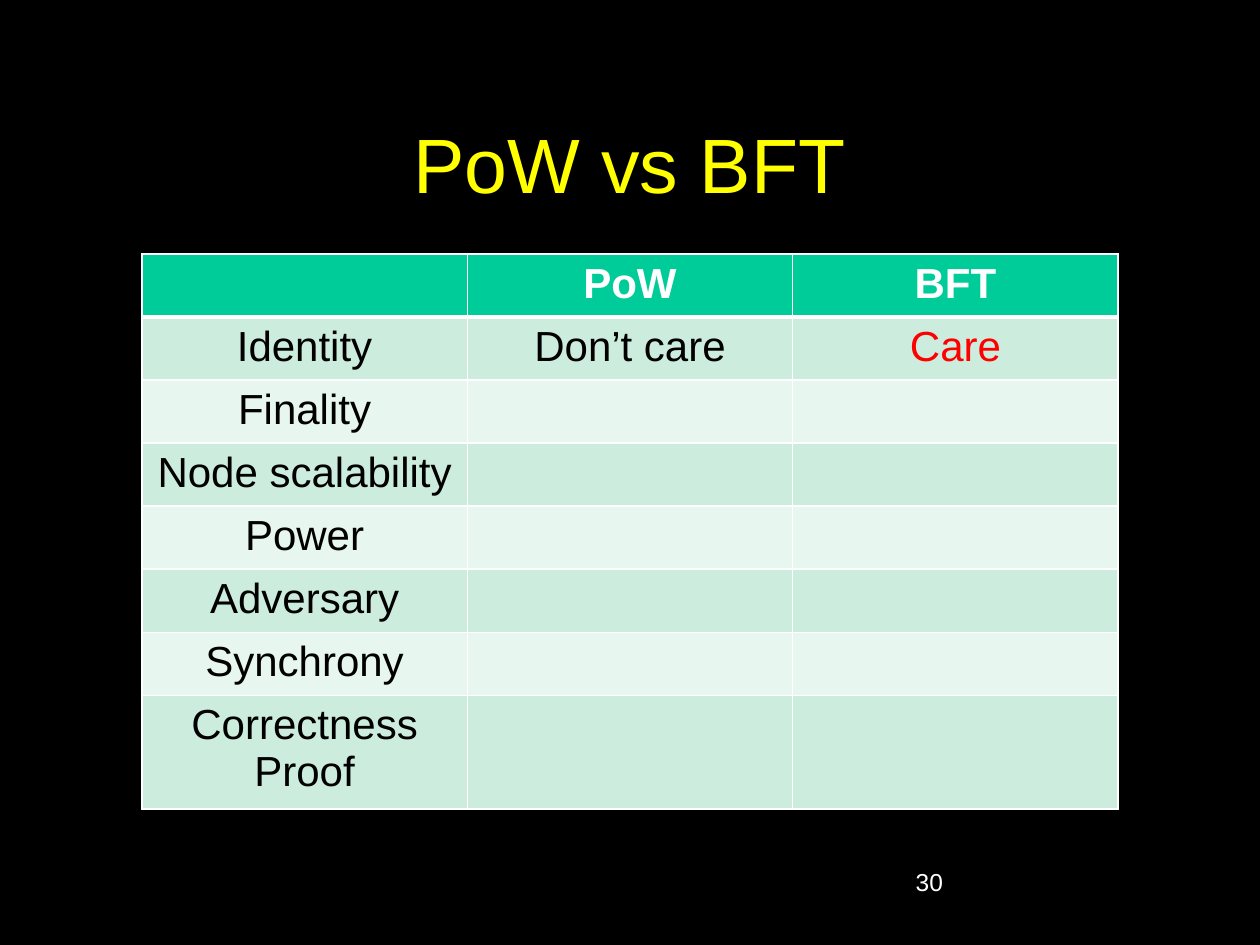
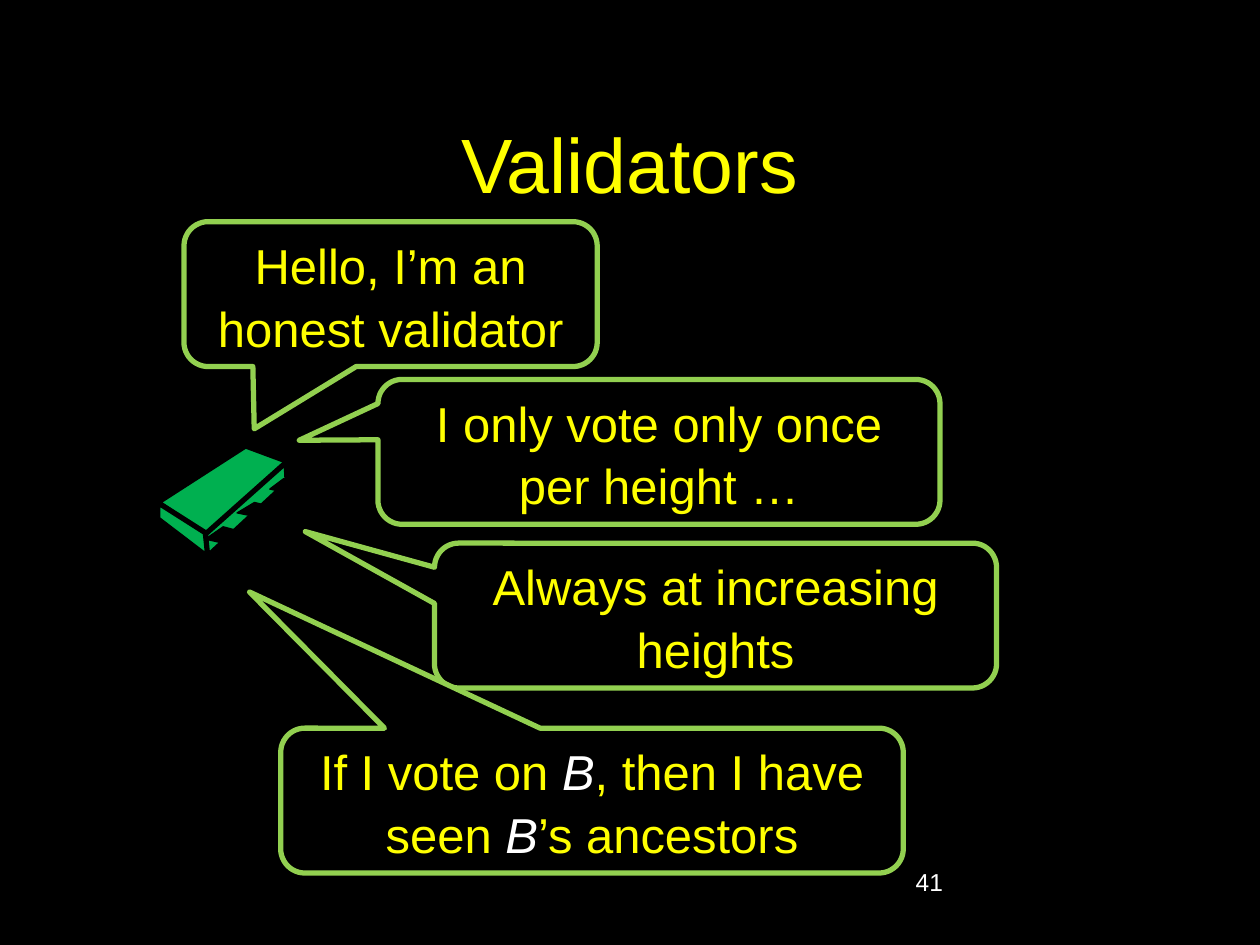
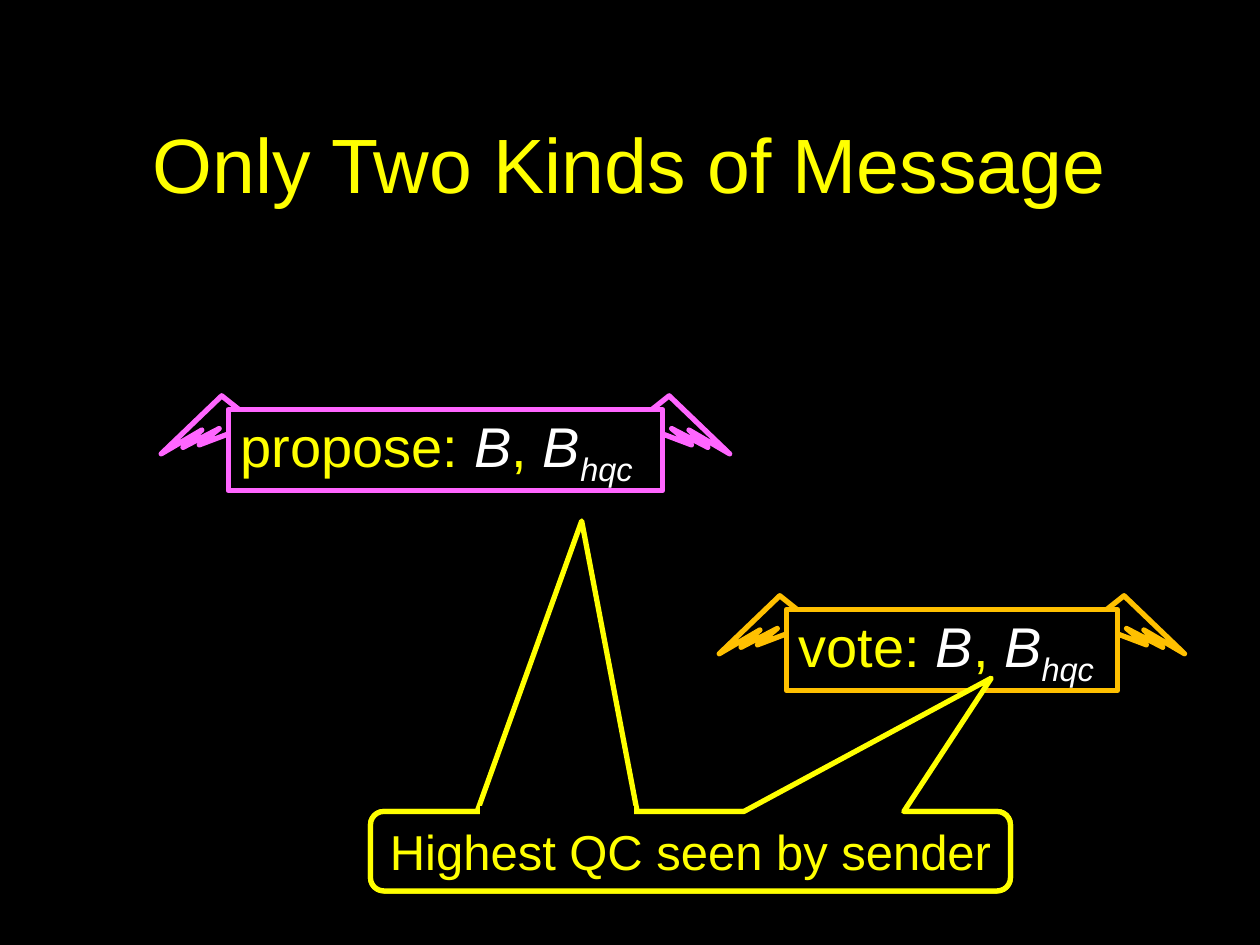
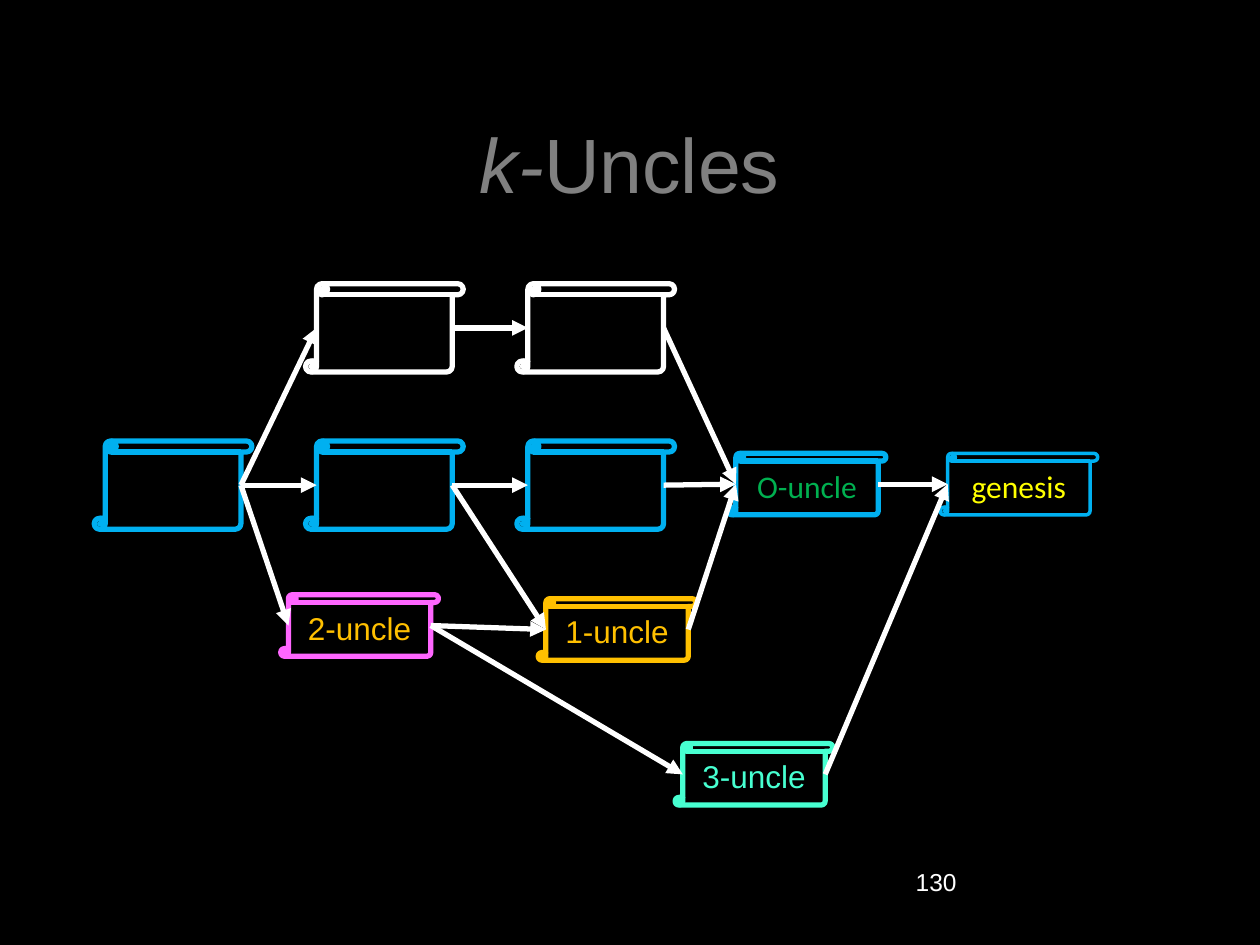
from lxml import etree
from pptx import Presentation
from pptx.dml.color import RGBColor
from pptx.enum.shapes import MSO_CONNECTOR, MSO_SHAPE
from pptx.enum.text import MSO_ANCHOR, PP_ALIGN
from pptx.oxml.ns import qn
from pptx.util import Cm, Pt

# Colours
BLACK = RGBColor(0x00, 0x00, 0x00)
WHITE = RGBColor(0xFF, 0xFF, 0xFF)
YELLOW = RGBColor(0xFF, 0xFF, 0x00)
RED = RGBColor(0xFF, 0x00, 0x00)
GREY = RGBColor(0x80, 0x80, 0x80)
GREEN = RGBColor(0x00, 0xB0, 0x50)
LIME = RGBColor(0x92, 0xD0, 0x50)
PINK = RGBColor(0xFF, 0x66, 0xFF)
ORANGE = RGBColor(0xFF, 0xC0, 0x00)
BLUE = RGBColor(0x00, 0xB0, 0xF0)
AQUA = RGBColor(0x47, 0xFF, 0xD1)
HEADER = RGBColor(0x00, 0xCC, 0x99)
BANDS = (RGBColor(0xCC, 0xEC, 0xDE), RGBColor(0xE7, 0xF6, 0xEF))

LEFT, CENTER = PP_ALIGN.LEFT, PP_ALIGN.CENTER
TOP, MIDDLE = MSO_ANCHOR.TOP, MSO_ANCHOR.MIDDLE
RECT = MSO_SHAPE.RECTANGLE
SCROLL = MSO_SHAPE.VERTICAL_SCROLL
CALLOUT = MSO_SHAPE.ROUNDED_RECTANGULAR_CALLOUT
STRAIGHT = MSO_CONNECTOR.STRAIGHT
LEFT_SIDE, RIGHT_SIDE = 1, 3

# Runs that recur in the messages
BLOCK = ("B", dict(color=WHITE, italic=True))
HIGHEST_QC = ("hqc", dict(color=WHITE, italic=True, baseline=-25000))

# Wing outline: distance outward and down from a message's top corner, in cm
WING = [(-0.41, 0.15), (0.13, -0.28), (1.35, 0.89), (0.53, 0.41),
        (0.91, 0.76), (0.18, 0.38), (0.58, 0.71), (-0.56, 0.28)]

# Validator's desk, in cm
DESK_PANELS = [
    [(4.95, 8.99), (3.18, 10.13), (4.17, 10.8), (5.84, 9.32)],
    [(5.77, 9.32), (4.14, 10.77), (4.17, 11.23), (5.79, 9.73)],
    [(3.18, 10.13), (3.18, 10.46), (4.19, 11.23), (4.14, 10.74)],
]
DESK_LEGS = [
    [(4.5, 10.62), (4.14, 10.87), (4.72, 11), (4.72, 11.76),
     (4.95, 11.51), (4.95, 10.74)],
    [(5.13, 10.13), (4.78, 10.34), (5.36, 10.46), (5.36, 11.1),
     (5.59, 10.9), (5.59, 10.24)],
    [(5.72, 9.65), (5.44, 9.86), (5.89, 9.96), (5.89, 10.62),
     (6.07, 10.39), (6.07, 9.75)],
]


# Text
def write(tf, *runs, align=CENTER, anchor=MIDDLE, wrap=True, spacing=None, **fmt):
    """Write one paragraph; a run is a string or (string, format changes)."""
    tf.word_wrap = wrap
    tf.vertical_anchor = anchor
    p = tf.paragraphs[0]
    p.alignment = align
    if spacing:
        p.line_spacing = spacing
    for run in runs:
        text, changes = (run, {}) if isinstance(run, str) else run
        style = {**fmt, **changes}
        r = p.add_run()
        r.text = text
        font = r.font
        font.name = style.get("font", "Arial")
        font.size = Pt(style["size"])
        font.color.rgb = style["color"]
        font.bold = style.get("bold", False)
        font.italic = style.get("italic", False)
        if "baseline" in style:
            r._r.get_or_add_rPr().set("baseline", str(style["baseline"]))


def text_box(slide, box, *runs, **fmt):
    sp = slide.shapes.add_textbox(*map(Cm, box))
    write(sp.text_frame, *runs, **fmt)


def new_slide(prs, *title, number=None, color=YELLOW):
    slide = prs.slides.add_slide(prs.slide_layouts[6])
    text_box(slide, (1.9, 1.7, 21.59, 3.18), *title, size=44, color=color)
    if number:
        text_box(slide, (18.21, 17.35, 5.28, 1.27), number, size=14,
                 color=WHITE, align=LEFT, anchor=TOP)
    return slide


# Shapes
def paint(sp, fill, line, width=3):
    sp.shadow.inherit = False
    if fill is None:
        sp.fill.background()
    else:
        sp.fill.solid()
        sp.fill.fore_color.rgb = fill
    sp.line.color.rgb = line
    sp.line.width = Pt(width)


def shape(shapes, kind, box, line, width=3):
    sp = shapes.add_shape(kind, *map(Cm, box))
    paint(sp, BLACK, line, width)
    return sp


def outline(shapes, points, fill, line, width=3):
    points = [(Cm(x), Cm(y)) for x, y in points]
    builder = shapes.build_freeform(*points[0])
    builder.add_line_segments(points[1:], close=True)
    paint(builder.convert_to_shape(), fill, line, width)


def callout(shapes, box, tip, line, *runs, **fmt):
    """Speech bubble whose tip is given as shares of its size from its centre."""
    sp = shape(shapes, CALLOUT, box, line)
    sp.adjustments[0], sp.adjustments[1] = tip
    if runs:
        write(sp.text_frame, *runs, size=28, color=YELLOW, **fmt)


def message(slide, kind, box, color):
    """Message box with a wing at either top corner."""
    left, top, width, _ = box
    shapes = slide.shapes.add_group_shape().shapes
    for corner, outward in ((left + width, 1), (left, -1)):
        points = [(corner + outward * dx, top + dy) for dx, dy in WING]
        outline(shapes, points, None, color)
    sp = shape(shapes, RECT, box, color)
    write(sp.text_frame, kind + ": ", BLOCK, ", ", BLOCK, HIGHEST_QC,
          size=32, color=YELLOW, align=LEFT)


def scroll(slide, x, y, line, label=None, width=3, **fmt):
    height = 1.24 if label else 1.78
    sp = shape(slide.shapes, SCROLL, (x, y, 3.18, height), line, width)
    if label:
        write(sp.text_frame, label, size=18, **fmt)
    return sp


# Lines
def connector(slide, x1, y1, x2, y2, color, width):
    c = slide.shapes.add_connector(STRAIGHT, x1, y1, x2, y2)
    c.line.color.rgb = color
    c.line.width = Pt(width)
    etree.SubElement(c._element.spPr, qn("a:effectLst"))
    return c


def arrow(slide, start, end):
    """Arrow from the right edge of one scroll's sheet to the left of another."""
    x1 = start.left + start.width - start.height // 8
    x2 = end.left + end.height // 8
    y1, y2 = (s.top + s.height // 2 for s in (start, end))
    c = connector(slide, x1, y1, x2, y2, WHITE, 3)
    etree.SubElement(c.line._get_or_add_ln(), qn("a:tailEnd"), type="triangle")
    c.begin_connect(start, RIGHT_SIDE)
    c.end_connect(end, LEFT_SIDE)
    # The sheet is narrower than the scroll's frame
    c.begin_x, c.end_x = x1, x2


# Table
def borders(cell, **widths):
    tcPr = cell._tc.get_or_add_tcPr()
    for side in "LRTB":
        ln = etree.SubElement(tcPr, qn("a:ln" + side),
                              w=str(Pt(widths.get(side, 1))))
        fill = etree.SubElement(ln, qn("a:solidFill"))
        etree.SubElement(fill, qn("a:srgbClr"), val=str(WHITE))


def comparison_table(slide, rows):
    table = slide.shapes.add_table(len(rows), 3, Cm(2.86), Cm(5.12),
                                   Cm(19.68), Cm(1.04 * len(rows))).table
    table.horz_banding = False
    for i, row in enumerate(rows):
        for j, text in enumerate(row):
            cell = table.cell(i, j)
            borders(cell, T=3 if i == 1 else 1, B=3 if i == 0 else 1)
            cell.fill.solid()
            cell.fill.fore_color.rgb = BANDS[(i - 1) % 2] if i else HEADER
            if text:
                write(cell.text_frame, text, size=24, bold=i == 0, anchor=TOP,
                      color=BLACK if i else WHITE)


# Slides
def pow_vs_bft(prs):
    slide = new_slide(prs, "PoW vs BFT", number="30")
    topics = ("Finality", "Node scalability", "Power", "Adversary",
              "Synchrony", "Correctness Proof")
    comparison_table(slide, [
        ("", "PoW", "BFT"),
        ("Identity", "Don’t care", ("Care", dict(color=RED))),
        *((topic, "", "") for topic in topics),
    ])


def validators(prs):
    slide = new_slide(prs, "Validators", number="41")
    desk = slide.shapes.add_group_shape().shapes
    for points in DESK_PANELS:
        outline(desk, points, GREEN, BLACK)
    for points in DESK_LEGS:
        outline(desk, points, BLACK, BLACK, 0.75)
    for x, y, width, tip, runs in (
        (3.71, 4.47, 8.33, (-0.33, 0.93), ["Hello, I’m an honest validator"]),
        (7.62, 7.65, 11.33, (-0.64, -0.08), ["I only vote only once per height …"]),
        (8.76, 10.95, 11.33, (-0.73, -0.58), ["Always at increasing heights"]),
        (5.66, 14.68, 12.55, (-0.55, -1.44),
         ["If I vote on ", BLOCK, ", then I have seen ", BLOCK, "’s ancestors"]),
    ):
        callout(slide.shapes, (x, y, width, 2.92), tip, LIME, *runs, spacing=1.07)


def message_kinds(prs):
    slide = new_slide(prs, "Only Two Kinds of Message")
    message(slide, "propose", (4.6, 8.26, 8.76, 1.63), PINK)
    message(slide, "vote", (15.85, 12.29, 6.68, 1.63), ORANGE)
    # One bubble with two tips
    bubble = (7.47, 16.36, 12.9, 1.6)
    shapes = slide.shapes.add_group_shape().shapes
    callout(shapes, bubble, (-0.17, -4.16), YELLOW)
    callout(shapes, bubble, (0.47, -2.18), YELLOW,
            "Highest QC seen by sender", wrap=False)
    connector(slide, Cm(9.68), Cm(16.36), Cm(12.78), Cm(16.36), BLACK, 6)


def k_uncles(prs):
    slide = new_slide(prs, ("k-", dict(italic=True)), "Uncles",
                      number="130", color=GREY)
    columns = [1.9 + 4.26 * i for i in range(3)]
    head, main1, main2 = [scroll(slide, x, 8.89, BLUE) for x in columns]
    fork1, fork2 = [scroll(slide, x, 5.72, WHITE) for x in columns[1:]]
    genesis = scroll(slide, 18.95, 9.14, BLUE, "genesis", width=2,
                     color=YELLOW, font="Calibri")
    uncle0 = scroll(slide, 14.68, 9.14, BLUE, "O-uncle", color=GREEN, font="Calibri")
    uncle2 = scroll(slide, 5.66, 11.99, PINK, "2-uncle", color=ORANGE)
    uncle1 = scroll(slide, 10.85, 12.07, ORANGE, "1-uncle", color=ORANGE)
    uncle3 = scroll(slide, 13.61, 14.99, AQUA, "3-uncle", color=AQUA)
    for start, end in (
        (uncle0, genesis), (main2, uncle0), (main1, main2), (head, main1),
        (fork1, fork2), (uncle2, uncle1), (fork2, uncle0), (head, fork1),
        (head, uncle2), (main1, uncle1), (uncle1, uncle0), (uncle2, uncle3),
        (uncle3, genesis),
    ):
        arrow(slide, start, end)


def main():
    prs = Presentation()
    prs.slide_width, prs.slide_height = Cm(25.4), Cm(19.05)
    background = prs.slide_master.background.fill
    background.solid()
    background.fore_color.rgb = BLACK
    pow_vs_bft(prs)
    validators(prs)
    message_kinds(prs)
    k_uncles(prs)
    prs.save("out.pptx")


if __name__ == "__main__":
    main()
